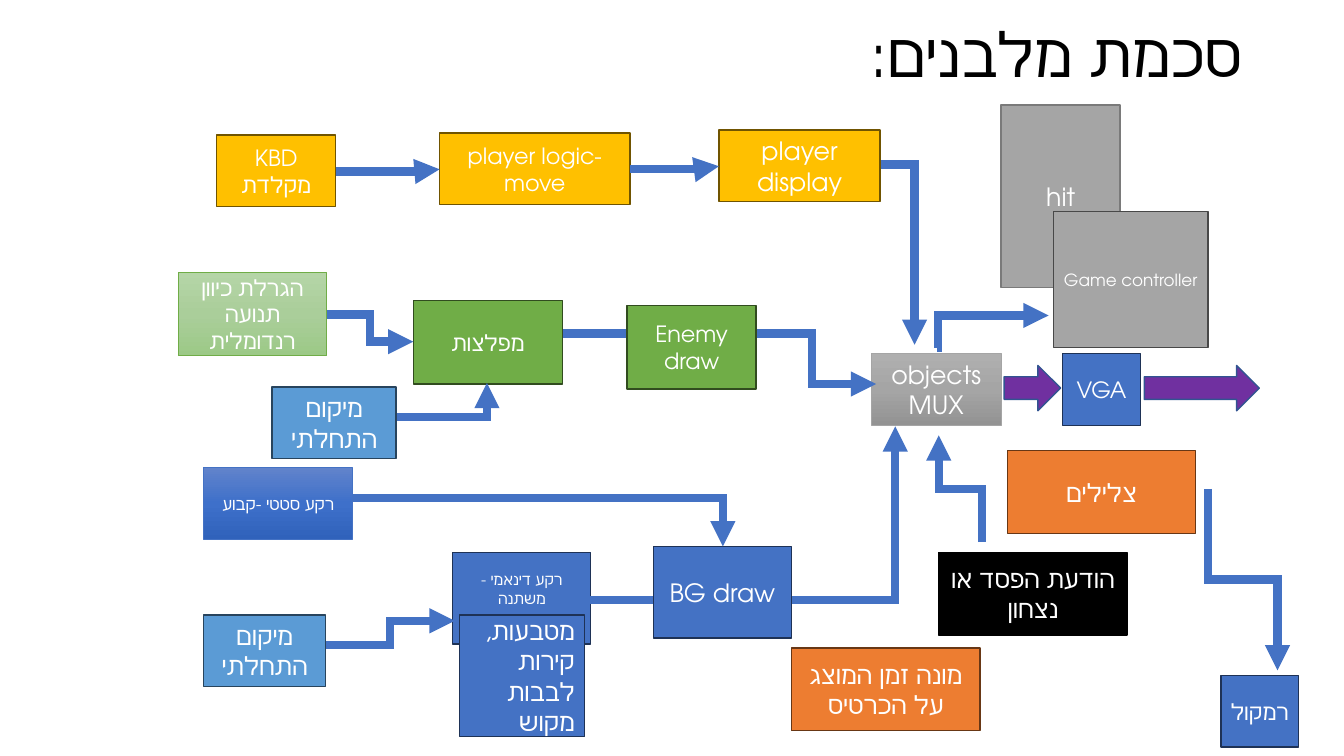
from copy import deepcopy
from dataclasses import dataclass

from lxml.etree import SubElement
from pptx import Presentation
from pptx.dml.color import RGBColor
from pptx.enum.shapes import MSO_CONNECTOR as Connector, MSO_SHAPE as Shape
from pptx.enum.text import MSO_ANCHOR as Anchor, MSO_AUTO_SIZE as AutoSize, PP_ALIGN as Align
from pptx.oxml.ns import qn
from pptx.util import Inches, Pt

CELL = 0.1
FONT = "TeX Gyre Adventor"
BLUE, DARK_BLUE = "4472C4", "1E3256"
BLUE_BOX = (BLUE, DARK_BLUE)
SKY_BOX = ("5B9BD5", "28445D")
YELLOW_BOX = ("FFC000", "705400")
GREEN_BOX = ("70AD47", "314C1F")
ORANGE_BOX = ("ED7D31", "683715")
BLACK_BOX = ("000000", "000000")
PURPLE_ARROW = ("7030A0", "325491")
GRAY_FADE = (("AFAFAF", "A5A5A5", "939393"), "A5A5A5")
GREEN_FADE = (("B5D5A7", "AACE9A", "9CC987"), "70AD47")
BLUE_FADE = (("6183CB", "3E70CA", "3062BB"), BLUE)


def color(hex_code):
    return RGBColor.from_string(hex_code)


def cells(*counts):
    return [Inches(count * CELL) for count in counts]


def paint(shape, look):
    fill, edge = look
    if isinstance(fill, str):
        shape.fill.solid()
        shape.fill.fore_color.rgb = color(fill)
    else:
        shape.fill.gradient()
        shape.fill.gradient_angle = 270
        stops = shape._element.spPr.find(".//" + qn("a:gsLst"))
        stops.insert(1, deepcopy(stops[0]))
        for index, stop in enumerate(shape.fill.gradient_stops):
            stop.color.rgb = color(fill[index])
            stop.position = index / 2
    shape.line.color.rgb = color(edge)
    shape.line.width = Pt(1 if isinstance(fill, str) else 0.5)


def write(shape, text, size, ink="FFFFFF", align=Align.CENTER, latin=FONT, bullets=True):
    frame = shape.text_frame
    frame.text = text
    frame.word_wrap = True
    frame.auto_size = AutoSize.NONE
    frame.vertical_anchor = Anchor.MIDDLE
    for para in frame.paragraphs:
        props = para._p.get_or_add_pPr()
        props.set("rtl", "1")
        if not bullets:
            props.set("marL", "0")
            props.set("indent", "0")
            SubElement(props, qn("a:buNone"))
        para.alignment = align
        para.space_before = Pt(0)
        para.font.size = Pt(size)
        para.font.name = latin
        para.font.color.rgb = color(ink)
        SubElement(para.font._rPr, qn("a:cs")).set("typeface", FONT)


def place(shape, left, top, width, height):
    shape.left, shape.top, shape.width, shape.height = cells(left, top, width, height)


@dataclass
class Region:
    page: object
    left: float
    top: float

    def shape(self, kind, left, top, width, height, look):
        shape = self.page.shapes.add_shape(
            kind, *cells(self.left + left, self.top + top, width, height))
        shape.shadow.inherit = False
        paint(shape, look)
        return shape

    def box(self, text, left, top, width, height, look, size=18, align=Align.CENTER, latin=FONT):
        box = self.shape(Shape.RECTANGLE, left, top, width, height, look)
        write(box, text, size, align=align, latin=latin)
        return box

    def arrow(self, start, end, bend=0.5, upright=False, corner=False):
        x1, y1 = self.left + start[0], self.top + start[1]
        x2, y2 = self.left + end[0], self.top + end[1]
        if upright:
            middle_x, middle_y = (x1 + x2) / 2, (y1 + y2) / 2
            half_x, half_y = (y1 - y2) / 2, (x2 - x1) / 2
            x1, y1 = middle_x - half_x, middle_y - half_y
            x2, y2 = middle_x + half_x, middle_y + half_y
        arrow = self.page.shapes.add_connector(Connector.ELBOW, *cells(x1, y1, x2, y2))
        arrow.line.color.rgb = color(BLUE)
        arrow.line.width = Pt(6)
        props = arrow._element.spPr
        if upright:
            props.find(qn("a:xfrm")).set("rot", str(270 * 60000))
        outline = props.find(qn("a:prstGeom"))
        if corner:
            outline.set("prst", "bentConnector2")
        else:
            guide = SubElement(outline.find(qn("a:avLst")), qn("a:gd"))
            guide.set("name", "adj1")
            guide.set("fmla", f"val {round(bend * 100000)}")
        stroke = props.find(qn("a:ln"))
        SubElement(stroke, qn("a:miter")).set("lim", "800000")
        SubElement(stroke, qn("a:tailEnd")).set("type", "triangle")
        SubElement(props, qn("a:effectLst"))


def heading(title):
    place(title, 9.2, -1.5, 115, 14.5)
    write(title, "סכמת מלבנים:", 44, "000000", Align.RIGHT, "Calibri")
    title.text_frame.paragraphs[0].line_spacing = 0.9


def display_output(region):
    region.shape(Shape.RIGHT_ARROW, 27.1, 25.85, 11.4, 4.5, PURPLE_ARROW)
    region.box("VGA", 19, 24.7, 7.7, 7.1, BLUE_BOX, 16)
    region.box("objects\vMUX", 0, 24.7, 12.9, 7.1, GRAY_FADE)
    region.shape(Shape.RIGHT_ARROW, 13.2, 25.85, 5.6, 4.5, PURPLE_ARROW)
    region.box("hit", 12.9, 0, 11.8, 18.1, ("A5A5A5", "7A7A7A"))
    region.box("Game controller", 18.1, 10.6, 15.3, 13.5, ("A5A5A5", "484848"), 12)
    region.arrow((6.5, 24.1), (17.6, 20.9), 0.01)


def player(region):
    region.arrow((64.7, 3.4), (69.2, 21.3), 0, upright=True)
    region.box("player logic-move", 22.1, 0.3, 18.9, 7.1, YELLOW_BOX, 16)
    region.box("player display", 49.8, 0, 16, 7.1, YELLOW_BOX)
    region.box("KBD\nמקלדת", 0, 0.5, 11.8, 7.1, YELLOW_BOX, 16)
    region.arrow((11.8, 4.1), (22.1, 3.9), 0.79)
    region.arrow((41, 3.9), (49.8, 3.6), 0.79)


def enemies(region):
    region.arrow((31.8, 6.1), (69.2, 11.1), 0.83)
    region.box("מפלצות", 23.3, 2.8, 14.8, 8.3, GREEN_BOX, 16)
    region.box("Enemy\ndraw", 44.5, 3.3, 12.8, 8.3, GREEN_BOX, 16)
    region.box("הגרלת כיוון תנועה רנדומלית", 0, 0, 14.7, 8.3, GREEN_FADE, 16)
    region.arrow((14.7, 4.2), (23.3, 6.9))
    region.arrow((21.6, 14.4), (30.6, 11), corner=True)
    region.box("מיקום התחלתי", 9.3, 11.4, 12.3, 7.1, SKY_BOX)


def background(region):
    dynamic = region.box("רקע דינאמי - משתנה", 24.7, 8.4, 13.7, 9.1, BLUE_BOX, 11)
    dynamic.text_frame.margin_bottom = Inches(0.24)
    region.arrow((34.3, 13.1), (68.6, -4.1), corner=True)
    region.arrow((12.1, 17.6), (24.9, 15.2))
    region.box("מיקום התחלתי", 0, 14.6, 12.1, 7.1, SKY_BOX)
    region.box("BG draw", 44.6, 7.8, 13.7, 9.1, BLUE_BOX)
    region.arrow((13.9, 3), (51.5, 7.8), corner=True)
    region.box("רקע סטטי -קבוע", 0, 0, 14.8, 7.1, BLUE_FADE, 12)
    region.box("מטבעות, קירות\nלבבות\nמקוש", 25.4, 14.6, 12.4, 12.1, BLUE_BOX,
               align=Align.RIGHT, latin="Calibri")


def messages_and_sound(region, timer):
    place(timer, region.left, region.top + 19.6, 18.7, 8.2)
    paint(timer, ORANGE_BOX)
    write(timer, "מונה זמן המוצג\nעל הכרטיס", 18, bullets=False)
    region.box("הודעת הפסד או נצחון", 14.6, 10.1, 18.7, 8.2, BLACK_BOX)
    region.arrow((18.9, 9.1), (14.6, -1.5), upright=True)
    region.box("צלילים", 21.4, 0, 18.7, 8.2, ORANGE_BOX)
    region.arrow((41.3, 3.8), (48.2, 21.8), upright=True)
    speaker = region.box("רמקול", 42.6, 22.3, 7.7, 7.1, BLUE_BOX, 16)
    speaker.text_frame.margin_left = speaker.text_frame.margin_right = Inches(0.05)


def main():
    deck = Presentation()
    deck.slide_width, deck.slide_height = Inches(13.33), Inches(7.5)
    page = deck.slides.add_slide(deck.slide_layouts[1])
    heading(page.shapes.title)
    display_output(Region(page, 86.4, 10.4))
    player(Region(page, 21.5, 12.9))
    enemies(Region(page, 17.7, 27))
    background(Region(page, 20.2, 46.4))
    messages_and_sound(Region(page, 78.5, 44.7), page.placeholders[1])
    deck.save("out.pptx")


if __name__ == "__main__":
    main()
